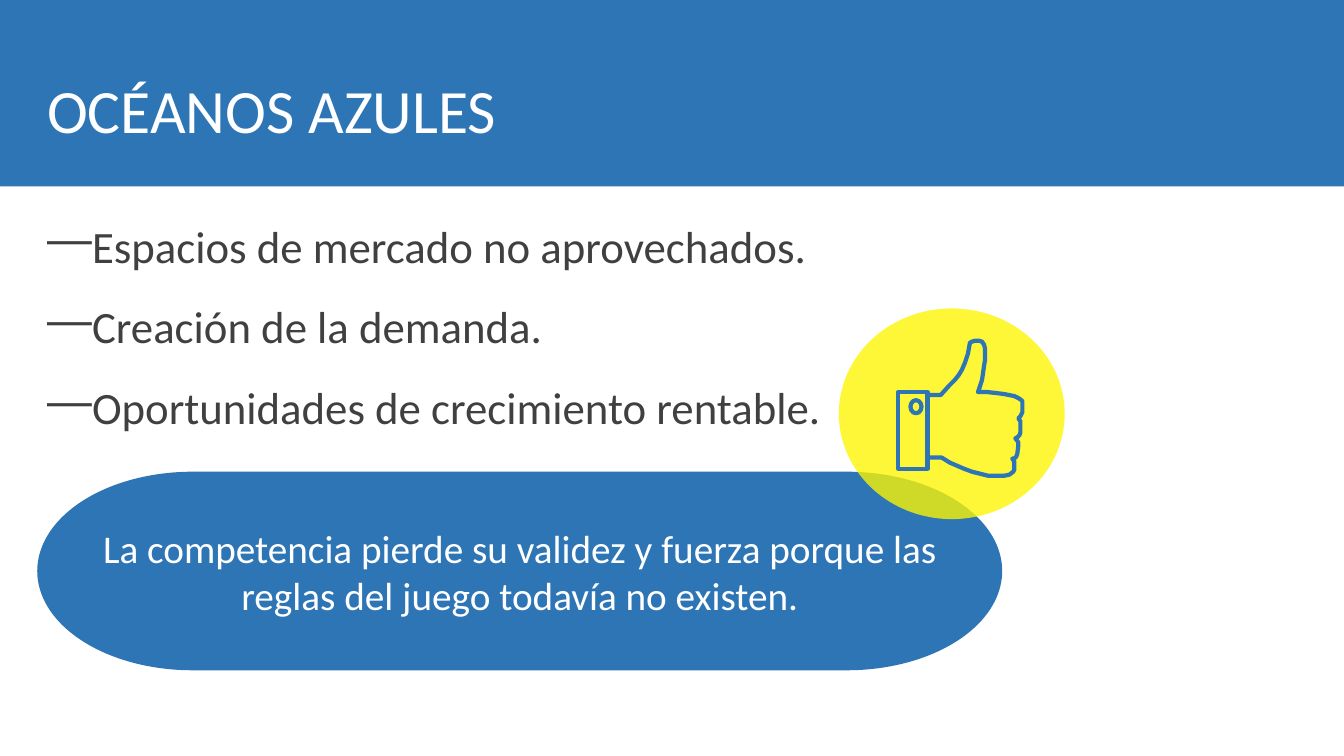
from typing import NamedTuple

from lxml import etree
from pptx import Presentation
from pptx import util as u
from pptx.dml.color import RGBColor
from pptx.enum import shapes, text
from pptx.oxml import ns

BLUE, YELLOW, WHITE, GREY = "2E75B6", "FDF600", "FFFFFF", "404040"
Kind = shapes.MSO_SHAPE


class Block(NamedTuple):
    """A filled preset shape; opacity is in percent."""
    kind: Kind
    left: float
    top: float
    width: float
    height: float
    fill: str | None
    opacity: int = 100


class Style(NamedTuple):
    size: int
    color: str
    spacing: float = 1.0
    align: text.PP_ALIGN = text.PP_ALIGN.LEFT
    anchor: text.MSO_ANCHOR = text.MSO_ANCHOR.MIDDLE
    bullet: str = ""


BANNER = Block(Kind.RECTANGLE, 0, 0, 13.33, 1.85, BLUE)
PILL = Block(Kind.FLOWCHART_TERMINATOR, 0.37, 4.68, 9.57, 1.97, BLUE)
DISC = Block(Kind.OVAL, 8.32, 3.06, 2.24, 2.09, YELLOW, 78)
CUFF = Block(Kind.RECTANGLE, 8.91, 3.89, 0.29, 0.76, None)
BUTTON = Block(Kind.OVAL, 9.03, 3.97, 0.11, 0.13, None)

# Outline of the hand, in hundredths of an inch, from the wrist's lower edge
HAND = [
    (922, 454), (934, 454), (942, 459), (949, 462), (956, 465), (964, 468),
    (972, 470), (980, 472), (987, 472), (996, 472), (1001, 471), (1005, 468),
    (1006, 466), (1006, 460), (1006, 458), (1004, 455), (1006, 455),
    (1008, 453), (1009, 450), (1010, 442), (1010, 439), (1008, 436),
    (1007, 435), (1009, 434), (1011, 432), (1012, 429), (1012, 422),
    (1012, 418), (1010, 415), (1012, 413), (1013, 411), (1014, 409),
    (1014, 401), (1014, 398), (1013, 397), (1010, 395), (1006, 393),
    (1001, 392), (996, 391), (988, 390), (979, 389), (970, 389), (972, 383),
    (974, 377), (975, 370), (976, 363), (977, 357), (977, 346), (976, 342),
    (974, 339), (971, 338), (967, 338), (964, 339), (962, 340), (960, 351),
    (957, 360), (954, 367), (951, 372), (947, 377), (941, 383), (933, 392),
    (922, 392),
]


def rgb(color: str) -> RGBColor:
    return RGBColor.from_string(color)


def add_block(page, block: Block):
    """Draw a filled block, or a blue outline when it has no fill."""
    box = page.shapes.add_shape(
        block.kind, *map(u.Inches, (block.left, block.top, block.width, block.height)))
    box.shadow.inherit = False
    if block.fill is None:
        add_outline(box)
        return box
    box.line.fill.background()
    box.fill.solid()
    box.fill.fore_color.rgb = rgb(block.fill)
    if block.opacity < 100:
        color = box.fill._xPr.find(".//" + ns.qn("a:srgbClr"))
        etree.SubElement(color, ns.qn("a:alpha"), val=str(block.opacity * 1000))
    return box


def add_outline(box) -> None:
    box.fill.background()
    box.line.color.rgb = rgb(BLUE)
    box.line.width = u.Pt(3)


def add_hand(page) -> None:
    builder = page.shapes.build_freeform(*HAND[0], scale=u.Inches(0.01))
    builder.add_line_segments(HAND[1:], close=False)
    hand = builder.convert_to_shape()
    hand.shadow.inherit = False
    add_outline(hand)


def add_textbox(page, left: float, top: float, width: float, height: float):
    return page.shapes.add_textbox(*map(u.Inches, (left, top, width, height)))


def write(box, lines: list[str], style: Style) -> None:
    frame = box.text_frame
    frame.word_wrap = True
    frame.vertical_anchor = style.anchor
    frame.text = "\n".join(lines)
    for para in frame.paragraphs:
        para.alignment = style.align
        para.line_spacing = style.spacing
        para.font.name = "Calibri"
        para.font.size = u.Pt(style.size)
        para.font.color.rgb = rgb(style.color)
        if style.bullet:
            props = para._p.get_or_add_pPr()
            hang = u.Inches(0.31)
            props.set("marL", str(hang))
            props.set("indent", str(-hang))
            mark = etree.Element(ns.qn("a:buChar"), char=style.bullet)
            props.find(ns.qn("a:defRPr")).addprevious(mark)


def main() -> None:
    deck = Presentation()
    deck.slide_width, deck.slide_height = u.Inches(13.33), u.Inches(7.5)
    page = deck.slides.add_slide(deck.slide_layouts[6])

    add_block(page, BANNER)
    write(add_textbox(page, 0.37, 0.4, 11.5, 1.45), ["OCÉANOS AZULES"],
          Style(44, WHITE, spacing=0.9))
    write(add_textbox(page, 0.37, 1.85, 8.2, 2.83),
          ["Espacios de mercado no aprovechados.",
           "Creación de la demanda.",
           "Oportunidades de crecimiento rentable."],
          Style(32, GREY, spacing=1.5, anchor=text.MSO_ANCHOR.TOP, bullet="―"))
    write(add_block(page, PILL),
          ["La competencia pierde su validez y fuerza porque las",
           "reglas del juego todavía no existen."],
          Style(28, WHITE, align=text.PP_ALIGN.CENTER))

    for block in (DISC, CUFF, BUTTON):
        add_block(page, block)
    add_hand(page)
    deck.save("out.pptx")


if __name__ == "__main__":
    main()
